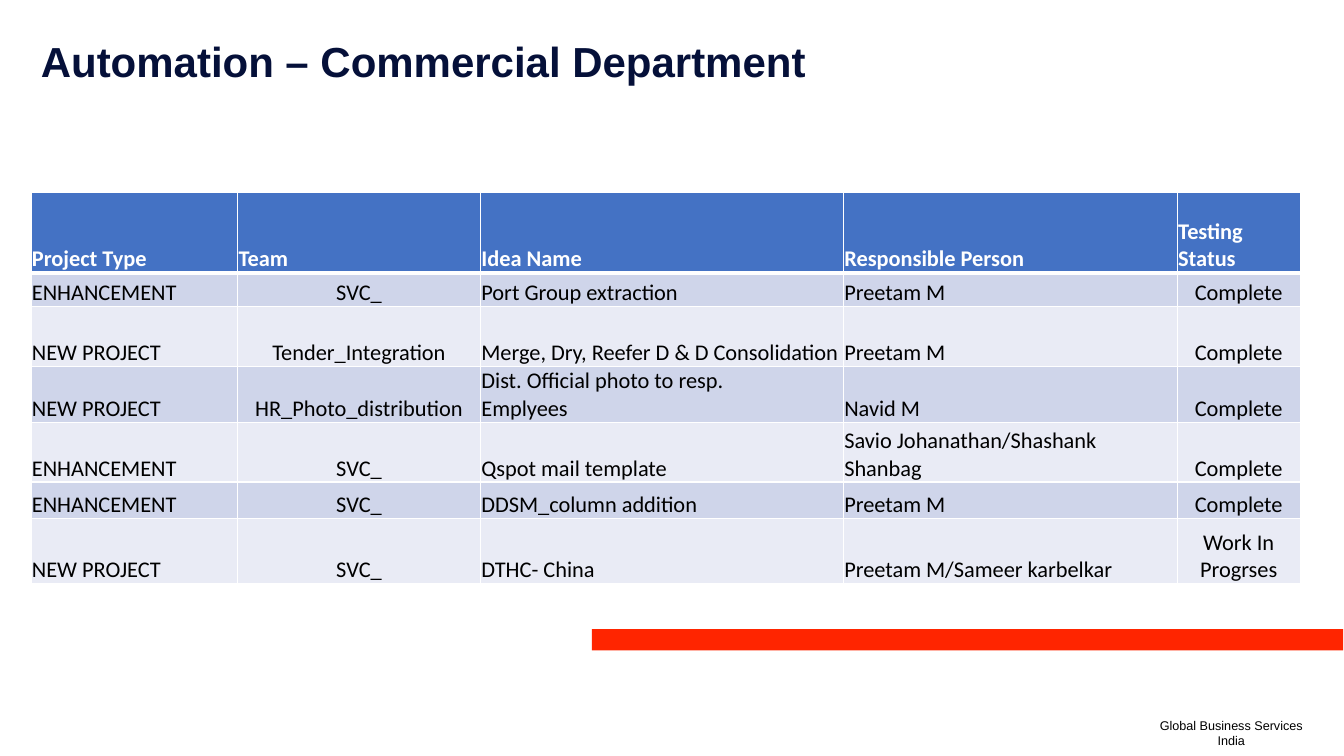
from dataclasses import dataclass

import pptx
import pptx.dml.color
import pptx.enum.shapes
import pptx.enum.text
import pptx.oxml.ns
import pptx.util
from lxml import etree

Pt = pptx.util.Pt
Align = pptx.enum.text.PP_ALIGN
Anchor = pptx.enum.text.MSO_ANCHOR

WHITE, BLACK, NAVY, RED = "FFFFFF", "000000", "051039", "FF2500"
HEADER_BLUE = "4472C4"
BANDS = ("CFD5EA", "E9EBF5")


@dataclass
class Column:
    heading: str
    width: float
    align: Align


@dataclass
class Project:
    height: float
    values: tuple[str, ...]


COLUMNS = [
    Column("Project Type", 147.6, Align.LEFT),
    Column("Team", 173.5, Align.CENTER),
    Column("Idea Name", 259.2, Align.LEFT),
    Column("Responsible Person", 238.5, Align.LEFT),
    Column("Testing Status", 87.9, Align.CENTER),
]
HEADER_HEIGHT = 57.3
PROJECTS = [
    Project(23.8, ("ENHANCEMENT", "SVC_", "Port Group extraction", "Preetam M", "Complete")),
    Project(42.8, ("NEW PROJECT", "Tender_Integration",
                   "Merge, Dry, Reefer D & D Consolidation", "Preetam M", "Complete")),
    Project(40, ("NEW PROJECT", "HR_Photo_distribution",
                 "Dist. Official photo to resp.\nEmplyees", "Navid M", "Complete")),
    Project(42.8, ("ENHANCEMENT", "SVC_", "Qspot mail template",
                   "Savio Johanathan/Shashank Shanbag", "Complete")),
    Project(25.8, ("ENHANCEMENT", "SVC_", "DDSM_column addition", "Preetam M", "Complete")),
    Project(46.8, ("NEW PROJECT", "SVC_", "DTHC- China",
                   "Preetam M/Sameer karbelkar", "Work In Progrses")),
]


def color(value: str) -> pptx.dml.color.RGBColor:
    return pptx.dml.color.RGBColor.from_string(value)


def write(frame, text: str, font: str, size: float, ink: str,
          bold: bool = False, align: Align = Align.LEFT) -> None:
    frame.word_wrap = True
    frame.text = text
    for paragraph in frame.paragraphs:
        paragraph.alignment = align
        paragraph.font.name = font
        paragraph.font.size = Pt(size)
        paragraph.font.bold = bold
        paragraph.font.color.rgb = color(ink)


def add_text(slide, left: float, top: float, width: float, height: float):
    return slide.shapes.add_textbox(Pt(left), Pt(top), Pt(width), Pt(height)).text_frame


def add_borders(cell, top: float, bottom: float) -> None:
    properties = cell._tc.get_or_add_tcPr()
    for side, width in (("L", 1), ("R", 1), ("T", top), ("B", bottom)):
        line = etree.SubElement(properties, pptx.oxml.ns.qn(f"a:ln{side}"), w=str(Pt(width)))
        fill = etree.SubElement(line, pptx.oxml.ns.qn("a:solidFill"))
        etree.SubElement(fill, pptx.oxml.ns.qn("a:srgbClr"), val=WHITE)


def fill_cell(cell, text: str, fill: str, ink: str, bold: bool, align: Align,
              top: float = 1, bottom: float = 1) -> None:
    add_borders(cell, top, bottom)
    cell.fill.solid()
    cell.fill.fore_color.rgb = color(fill)
    cell.vertical_anchor = Anchor.BOTTOM
    cell.margin_left = cell.margin_right = cell.margin_top = Pt(0.7)
    cell.margin_bottom = Pt(0)
    write(cell.text_frame, text, "Calibri", 16, ink, bold, align)


def add_projects(slide) -> None:
    heights = [HEADER_HEIGHT] + [project.height for project in PROJECTS]
    widths = [column.width for column in COLUMNS]
    table = slide.shapes.add_table(len(heights), len(widths), Pt(22.1), Pt(137.7),
                                   Pt(sum(widths)), Pt(sum(heights))).table
    for row, height in zip(table.rows, heights):
        row.height = Pt(height)
    for index, column in enumerate(COLUMNS):
        table.columns[index].width = Pt(column.width)
        fill_cell(table.cell(0, index), column.heading, HEADER_BLUE, WHITE, True,
                  Align.LEFT, bottom=3)
        for number, project in enumerate(PROJECTS):
            fill_cell(table.cell(number + 1, index), project.values[index],
                      BANDS[number % 2], BLACK, False, column.align,
                      top=1 if number else 3)


def main() -> None:
    deck = pptx.Presentation()
    deck.slide_width, deck.slide_height = Pt(960), Pt(540)
    slide = deck.slides.add_slide(deck.slide_layouts[6])

    # Red accent bar
    bar = slide.shapes.add_shape(pptx.enum.shapes.MSO_SHAPE.RECTANGLE,
                                 Pt(422.8), Pt(449.4), Pt(536.6), Pt(15.2))
    bar.shadow.inherit = False
    bar.fill.solid()
    bar.fill.fore_color.rgb = color(RED)
    bar.line.fill.background()

    # Footer
    footer = add_text(slide, 820.8, 509, 117.4, 28.8)
    write(footer, "Global Business Services\nIndia", "Arial", 9, BLACK, align=Align.CENTER)

    # Title
    title = add_text(slide, 22.1, 25.9, 907.2, 69.8)
    write(title, "Automation – Commercial Department", "Arial", 30, NAVY, bold=True)
    title.paragraphs[0].line_spacing = 0.9

    # Project table
    add_projects(slide)

    deck.save("out.pptx")


if __name__ == "__main__":
    main()
